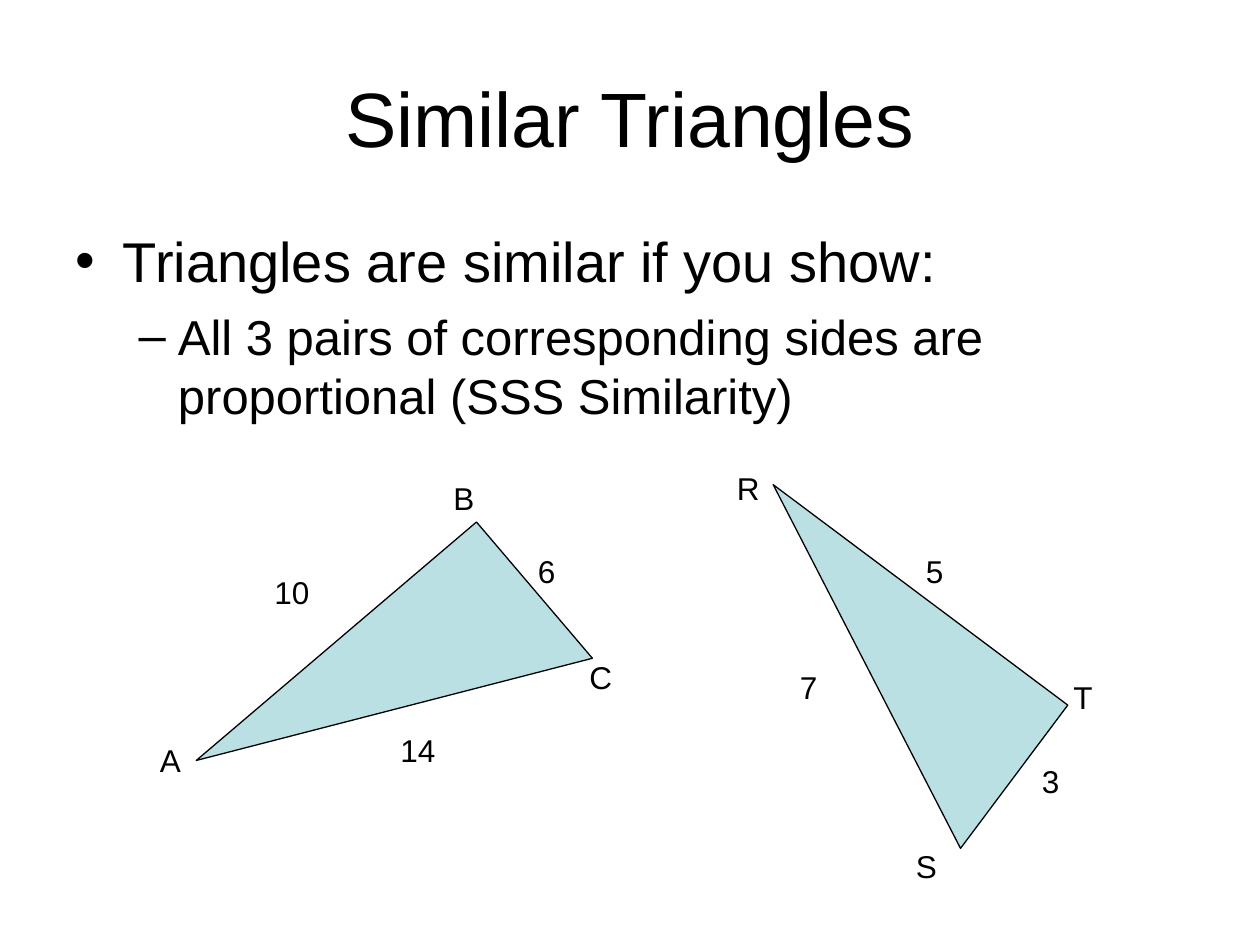
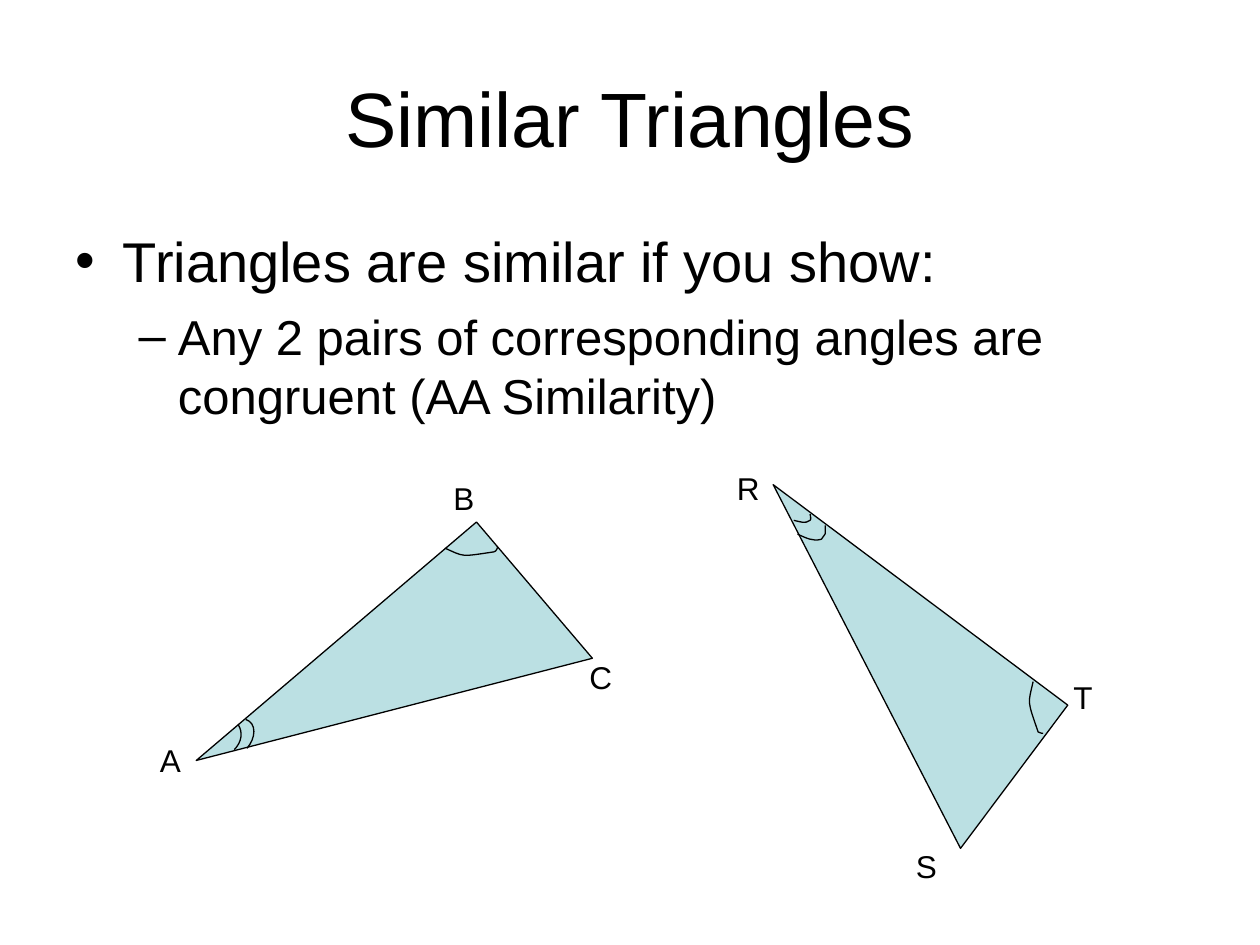
from lxml.etree import SubElement
from pptx import Presentation
from pptx.dml.color import RGBColor
from pptx.enum.shapes import MSO_SHAPE
from pptx.enum.text import MSO_ANCHOR, MSO_AUTO_SIZE, PP_ALIGN
from pptx.oxml.ns import qn
from pptx.util import Inches, Pt

FONT = "Arial"
COLORS = {"ink": "000000", "triangle": "BBE0E3"}

TITLE = "Similar Triangles"
LEAD = "Triangles are similar if you show:"
TITLE_BOX = (0.5, 0.3, 9, 1.25)
BODY_BOX = (0.5, 1.75, 9, 4.95)

# left, top, rotation of two equal right triangles
TRIANGLES = [(1.67, 4.92, 139.6), (5.42, 4.58, 216.8)]
TRIANGLE_SIZE = (2.92, 1.42)

# text, left, top, width
LABEL_HEIGHT = 0.4
VERTICES = [
    ("A", 1.17, 5.83, 0.5), ("B", 3.5, 3.75, 0.5), ("C", 4.58, 5.17, 0.5),
    ("R", 5.75, 3.67, 0.5), ("S", 7.17, 6.67, 0.5), ("T", 8.42, 5.33, 0.5),
]
SIDE_LENGTHS = [
    ("10", 2.08, 4.5, 0.83), ("14", 3.08, 5.75, 0.92), ("6", 4.17, 4.33, 0.42),
    ("7", 6.25, 5.25, 0.5), ("5", 7.25, 4.33, 0.58), ("3", 8.17, 6, 0.33),
]

# Each mark is a start point, then two control points and an end per curve
ANGLE_MARKS = [
    [(3.53, 4.35), (3.69, 4.42), (3.65, 4.42), (3.92, 4.38),
     (3.94, 4.38), (3.95, 4.34), (3.95, 4.34)],
    [(8.2, 5.41), (8.16, 5.59), (8.15, 5.55), (8.24, 5.81),
     (8.25, 5.82), (8.28, 5.82), (8.28, 5.82)],
    [(1.89, 5.75), (1.93, 5.81), (1.92, 5.89), (1.86, 5.95)],
    [(1.95, 5.71), (2.04, 5.74), (2.03, 5.86), (1.96, 5.94)],
    [(6.3, 4.13), (6.35, 4.14), (6.39, 4.16), (6.43, 4.13),
     (6.44, 4.12), (6.43, 4.09), (6.43, 4.08)],
    [(6.33, 4.24), (6.4, 4.27), (6.45, 4.3), (6.52, 4.28),
     (6.56, 4.22), (6.55, 4.26), (6.55, 4.17)],
]

SLIDES = [
    {"rule": "All 3 pairs of corresponding sides are proportional (SSS Similarity)",
     "labels": VERTICES + SIDE_LENGTHS, "marks": []},
    {"rule": "Any 2 pairs of corresponding angles are congruent (AA Similarity)",
     "labels": VERTICES, "marks": ANGLE_MARKS},
]


def color(name):
    return RGBColor.from_string(COLORS[name])


def style_text(paragraph, size, space_before=0):
    paragraph.space_before = Pt(space_before)
    for run in paragraph.runs:
        run.font.name = FONT
        run.font.size = Pt(size)
        run.font.color.rgb = color("ink")


def outline(shape):
    shape.shadow.inherit = False
    shape.line.color.rgb = color("ink")
    shape.line.width = Pt(0.75)


def place(shape, box):
    shape.left, shape.top, shape.width, shape.height = map(Inches, box)


def add_heading(slide, rule):
    """Fill the title and the two-level list."""
    title, body = slide.shapes.title, slide.placeholders[1]
    place(title, TITLE_BOX)
    title.text_frame.text = TITLE
    title.text_frame.vertical_anchor = MSO_ANCHOR.MIDDLE
    title.text_frame.paragraphs[0].alignment = PP_ALIGN.CENTER
    style_text(title.text_frame.paragraphs[0], 44)

    place(body, BODY_BOX)
    frame = body.text_frame
    frame.text = LEAD
    style_text(frame.paragraphs[0], 32)
    detail = frame.add_paragraph()
    detail.text = rule
    detail.level = 1
    style_text(detail, 28, space_before=7)
    for holder in (title, body):
        holder.text_frame.auto_size = MSO_AUTO_SIZE.NONE


def add_triangle(slide, left, top, rotation):
    triangle = slide.shapes.add_shape(
        MSO_SHAPE.RIGHT_TRIANGLE, *map(Inches, (left, top, *TRIANGLE_SIZE)))
    triangle.rotation = rotation
    triangle.fill.solid()
    triangle.fill.fore_color.rgb = color("triangle")
    outline(triangle)


def add_label(slide, text, left, top, width):
    label = slide.shapes.add_textbox(*map(Inches, (left, top, width, LABEL_HEIGHT)))
    frame = label.text_frame
    frame.word_wrap = True
    frame.auto_size = MSO_AUTO_SIZE.SHAPE_TO_FIT_TEXT
    frame.text = text
    style_text(frame.paragraphs[0], 18)


def bend_segments(freeform):
    """Turn every three line segments into one cubic Bezier curve."""
    segments = list(freeform._element.iter(qn("a:lnTo")))
    for first in range(0, len(segments), 3):
        trio = segments[first:first + 3]
        outline_parent = trio[0].getparent()
        curve = SubElement(outline_parent, qn("a:cubicBezTo"))
        for segment in trio:
            curve.append(segment[0])
            outline_parent.remove(segment)


def add_angle_mark(slide, knots):
    start, *others = [(Inches(x), Inches(y)) for x, y in knots]
    builder = slide.shapes.build_freeform(*start)
    builder.add_line_segments(others, close=False)
    mark = builder.convert_to_shape()
    bend_segments(mark)
    mark.fill.background()
    outline(mark)


def main():
    deck = Presentation()
    deck.slide_width, deck.slide_height = Inches(10), Inches(7.5)
    for content in SLIDES:
        slide = deck.slides.add_slide(deck.slide_layouts[1])
        add_heading(slide, content["rule"])
        for triangle in TRIANGLES:
            add_triangle(slide, *triangle)
        for label in content["labels"]:
            add_label(slide, *label)
        for knots in content["marks"]:
            add_angle_mark(slide, knots)
    deck.save("out.pptx")


if __name__ == "__main__":
    main()
